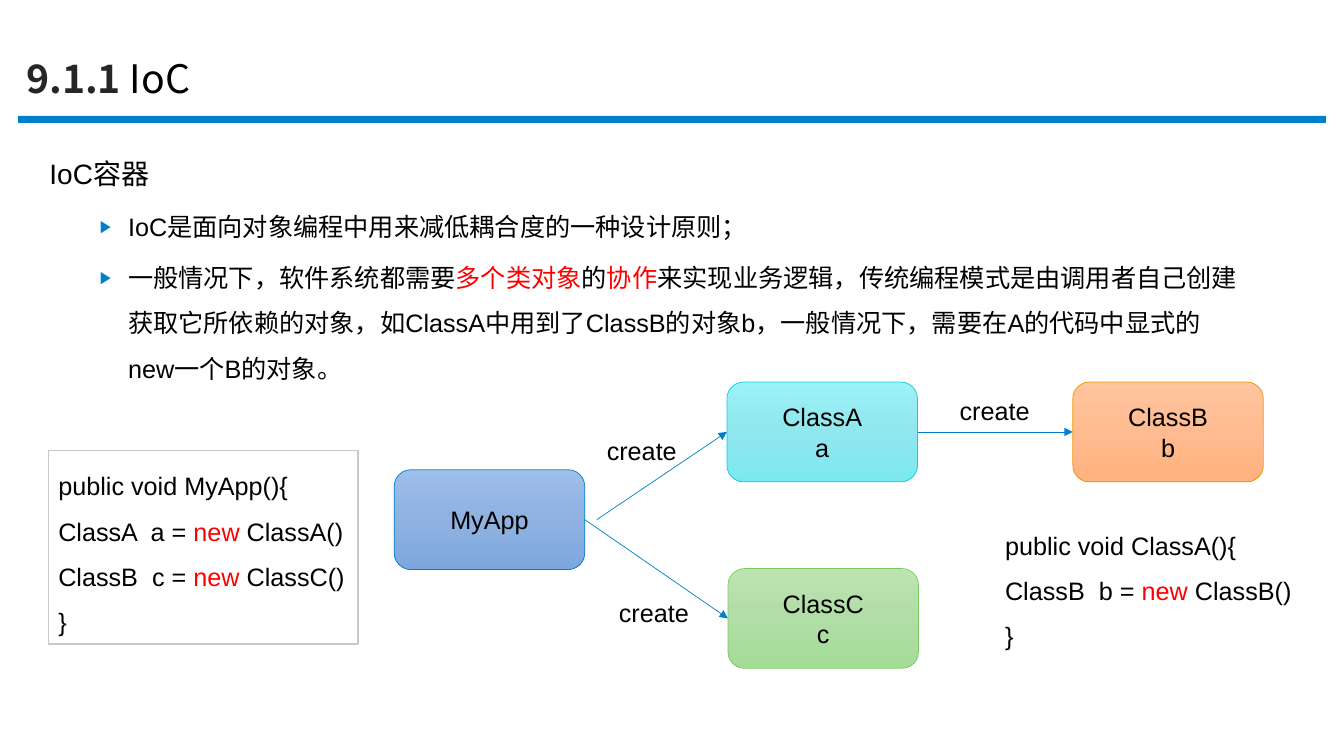
import dataclasses
from typing import Optional

import pptx
import pptx.dml.color
import pptx.enum.shapes
import pptx.enum.text
import pptx.oxml
import pptx.oxml.ns
import pptx.util
import copy

COLORS = {
    "blue": "0080CB", "black": "000000", "title": "262626", "red": "FF0000",
    "white": "FFFFFF", "frame": "C9C9C9", "cyan": "0BD0D9",
    "green": "7CCA62", "orange": "F49100",
}
GRADIENTS = {
    "blue": ("9DBDEA", "90B2E1", "7CA7DE"),
    "cyan": ("9DF1F8", "90E7EE", "7CE9F1"),
    "green": ("BDE3B3", "B1DDA6", "A5DC96"),
    "orange": ("FFC59E", "FFBB90", "FFB27C"),
}
CELL = pptx.util.Inches(0.1)  # side of one grid column and row
BOX_WIDTH, BOX_HEIGHT = 18.9, 9.9
SHAPES = pptx.enum.shapes.MSO_SHAPE
ALIGN = pptx.enum.text.PP_ALIGN
ANCHOR = pptx.enum.text.MSO_ANCHOR


@dataclasses.dataclass
class ClassBox:
    lines: list[str]
    column: float
    row: float
    color: str


@dataclasses.dataclass
class Arrow:
    source: str
    target: str
    label_column: float
    label_row: float
    gap: float = 0


@dataclasses.dataclass
class CodeBox:
    lines: list[tuple[str, ...]]  # every second span is red
    column: float
    row: float
    height: float
    frame: Optional[str] = None


CLASS_BOXES = {
    "MyApp": ClassBox(["MyApp"], 39.1, 46.6, "blue"),
    "ClassA": ClassBox(["ClassA", "a"], 72.1, 37.9, "cyan"),
    "ClassC": ClassBox(["ClassC", "c"], 72.2, 56.4, "green"),
    "ClassB": ClassBox(["ClassB", "b"], 106.4, 37.9, "orange"),
}
ARROWS = [
    Arrow("MyApp", "ClassA", 59.2, 42.7, gap=1.2),
    Arrow("MyApp", "ClassC", 60.4, 58.8),
    Arrow("ClassA", "ClassB", 94.2, 38.7),
]
CODE_BOXES = [
    CodeBox([("public void MyApp(){",), ("ClassA  a = ", "new ", "ClassA()"),
             ("ClassB  c = ", "new ", "ClassC()"), ("}",)], 4.8, 44.7, 19.2, "frame"),
    CodeBox([("public void ClassA(){",), ("ClassB  b = ", "new ", "ClassB()"),
             ("}",)], 98.7, 50.6, 14.6),
]
BODY = [
    ("IoC容器",),
    ("IoC是面向对象编程中用来减低耦合度的一种设计原则；",),
    ("一般情况下，软件系统都需要", "多个类对象", "的", "协作",
     "来实现业务逻辑，传统编程模式是由调用者自己创建获取它所依赖的对象，"
     "如ClassA中用到了ClassB的对象b，一般情况下，需要在A的代码中显式的new一个B的对象。"),
]


def rgb(value: str) -> pptx.dml.color.RGBColor:
    return pptx.dml.color.RGBColor.from_string(value)


def grid(*cells: float) -> list[int]:
    return [round(cell * CELL) for cell in cells]


def add_element(parent, tag: str, **attributes: str):
    element = pptx.oxml.parse_xml(f"<a:{tag} {pptx.oxml.ns.nsdecls('a')}/>")
    for name, value in attributes.items():
        element.set(name, value)
    parent.append(element)
    return element


def format_span(span, size: float, color: str = "black", name: str = "Arial",
                bold: bool = False) -> None:
    span.font.size = pptx.util.Pt(size)
    span.font.name = name
    span.font.bold = bold
    span.font.color.rgb = rgb(COLORS[color])
    add_element(span.font._element, "ea", typeface=name)


def write_spans(para, spans: tuple[str, ...], size: float = 18) -> None:
    for index, text in enumerate(spans):
        span = para.add_run()
        span.text = text
        format_span(span, size, "red" if index % 2 else "black")


def write_paragraphs(frame, lines: list[tuple[str, ...]]) -> list:
    paras = [frame.paragraphs[0]] + [frame.add_paragraph() for _ in lines[1:]]
    for para, spans in zip(paras, lines):
        write_spans(para, spans)
    return paras


def place(shape, column: float, row: float, width: float, height: float) -> None:
    shape.left, shape.top, shape.width, shape.height = grid(column, row, width, height)


def draw_title(page) -> None:
    title = page.shapes.title
    place(title, 1.6, 4.9, 70.6, 10.4)
    frame = title.text_frame
    frame.auto_size = pptx.enum.text.MSO_AUTO_SIZE.NONE
    frame.vertical_anchor = ANCHOR.TOP
    para = frame.paragraphs[0]
    para.alignment = ALIGN.LEFT
    for text, color, bold in (("9.1.1 ", "title", True), ("IoC", "black", False)):
        span = para.add_run()
        span.text = text
        format_span(span, 28, color, "Noto Sans CJK SC", bold)


def draw_body(page) -> None:
    body = page.placeholders[1]
    place(body, 2.7, 13.4, 121.9, 25.4)
    frame = body.text_frame
    frame.auto_size = pptx.enum.text.MSO_AUTO_SIZE.NONE
    for index, para in enumerate(write_paragraphs(frame, BODY)):
        properties = para._p.get_or_add_pPr()
        left, indent = (0.9, -0.28) if index else (0.12, 0)
        properties.set("marL", str(pptx.util.Inches(left)))
        properties.set("indent", str(pptx.util.Inches(indent)))
        if index:
            para.level = 1
            color = add_element(properties, "buClr")
            add_element(color, "srgbClr", val=COLORS["blue"])
            add_element(properties, "buSzPct", val="68000")
            add_element(properties, "buChar", char="▶")
        else:
            add_element(properties, "buNone")
            para.runs[0].font.size = pptx.util.Pt(20)
        para.line_spacing = 1.5
        para.space_before = pptx.util.Pt(4 if index else 0)


def draw_class_box(page, item: ClassBox):
    box = page.shapes.add_shape(SHAPES.ROUNDED_RECTANGLE,
                                *grid(item.column, item.row, BOX_WIDTH, BOX_HEIGHT))
    box.shadow.inherit = False
    box.fill.gradient()
    box.fill.gradient_angle = 270
    stops = box._element.spPr.find(".//" + pptx.oxml.ns.qn("a:gsLst"))
    stops.insert(1, copy.deepcopy(stops[0]))
    for index, stop in enumerate(box.fill.gradient_stops):
        stop.position = index / 2
        stop.color.rgb = rgb(GRADIENTS[item.color][index])
    box.line.color.rgb = rgb(COLORS[item.color])
    box.line.width = pptx.util.Pt(0.5)
    box.text_frame.vertical_anchor = ANCHOR.MIDDLE
    for para in write_paragraphs(box.text_frame, [(line,) for line in item.lines]):
        para.alignment = ALIGN.CENTER
    return box


def draw_arrow(page, arrow: Arrow, boxes: dict) -> None:
    source, target = CLASS_BOXES[arrow.source], CLASS_BOXES[arrow.target]
    line = page.shapes.add_connector(
        pptx.enum.shapes.MSO_CONNECTOR.STRAIGHT,
        *grid(source.column + BOX_WIDTH + arrow.gap, source.row + BOX_HEIGHT / 2,
              target.column, target.row + BOX_HEIGHT / 2))
    if not arrow.gap:
        line.begin_connect(boxes[arrow.source], 3)
    line.end_connect(boxes[arrow.target], 1)
    line.line.color.rgb = rgb(COLORS["blue"])
    line.line.width = pptx.util.Pt(0.5)
    add_element(line.line._get_or_add_ln(), "tailEnd", type="triangle")
    add_element(line._element.spPr, "effectLst")
    label = page.shapes.add_textbox(*grid(arrow.label_column, arrow.label_row, 9, 4))
    label.text_frame.word_wrap = False
    write_spans(label.text_frame.paragraphs[0], ("create",))


def draw_code(page, code: CodeBox) -> None:
    box = page.shapes.add_textbox(*grid(code.column, code.row, 30.7, code.height))
    box.text_frame.word_wrap = False
    if code.frame:
        box.fill.solid()
        box.fill.fore_color.rgb = rgb(COLORS["white"])
        box.line.color.rgb = rgb(COLORS[code.frame])
        box.line.width = pptx.util.Pt(1)
    for para in write_paragraphs(box.text_frame, code.lines):
        para.line_spacing = 1.5


def main() -> None:
    deck = pptx.Presentation()
    deck.slide_width, deck.slide_height = pptx.util.Inches(13.33), pptx.util.Inches(7.5)
    page = deck.slides.add_slide(deck.slide_layouts[1])
    # Heading, rule and list
    draw_title(page)
    rule = page.shapes.add_shape(SHAPES.RECTANGLE, *grid(1.8, 11.5, 129.7, 0.7))
    rule.shadow.inherit = False
    rule.fill.solid()
    rule.fill.fore_color.rgb = rgb(COLORS["blue"])
    rule.line.fill.background()
    draw_body(page)
    # Class diagram
    boxes = {name: draw_class_box(page, item) for name, item in CLASS_BOXES.items()}
    for arrow in ARROWS:
        draw_arrow(page, arrow, boxes)
    # Code samples
    for code in CODE_BOXES:
        draw_code(page, code)
    deck.save("out.pptx")


if __name__ == "__main__":
    main()
